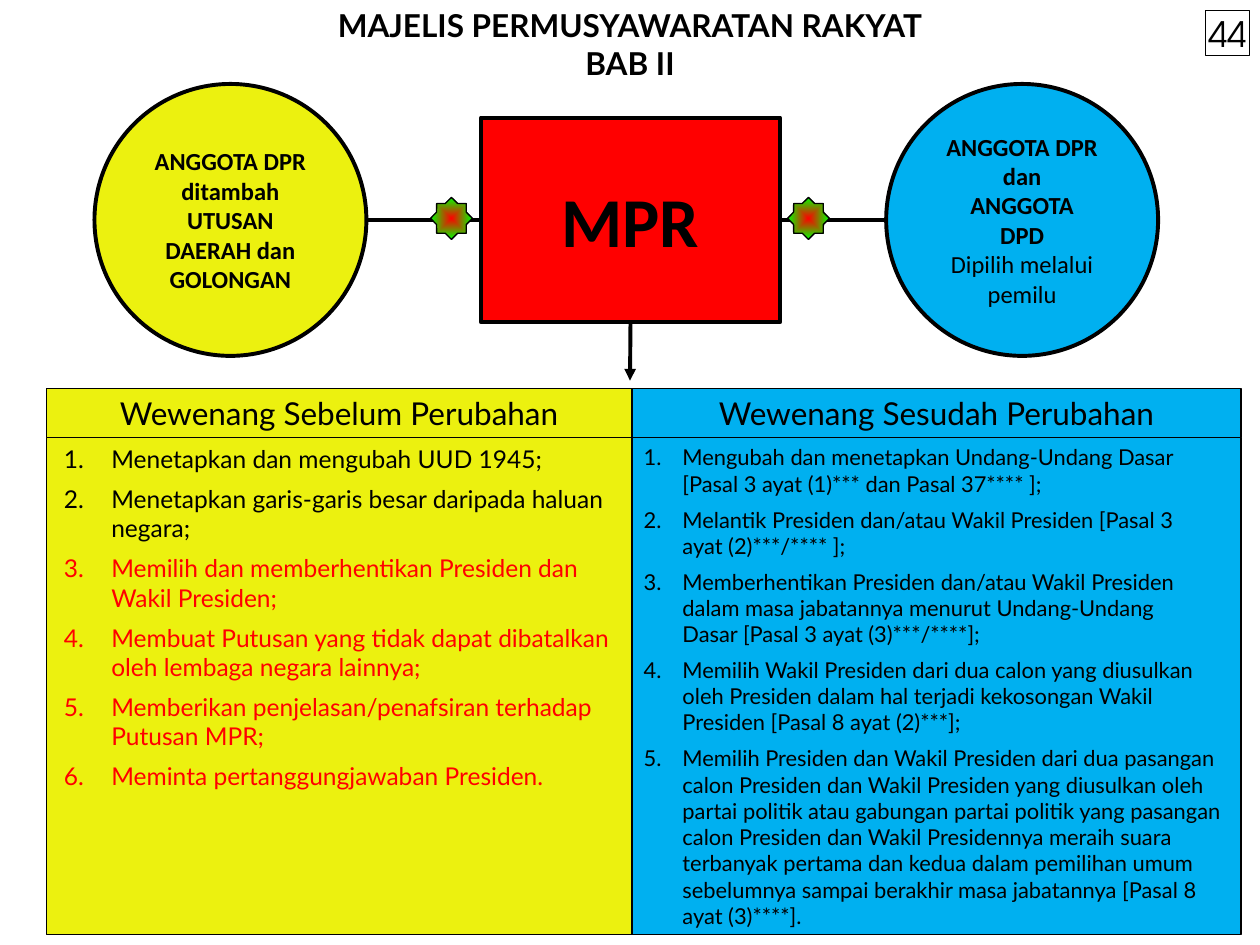
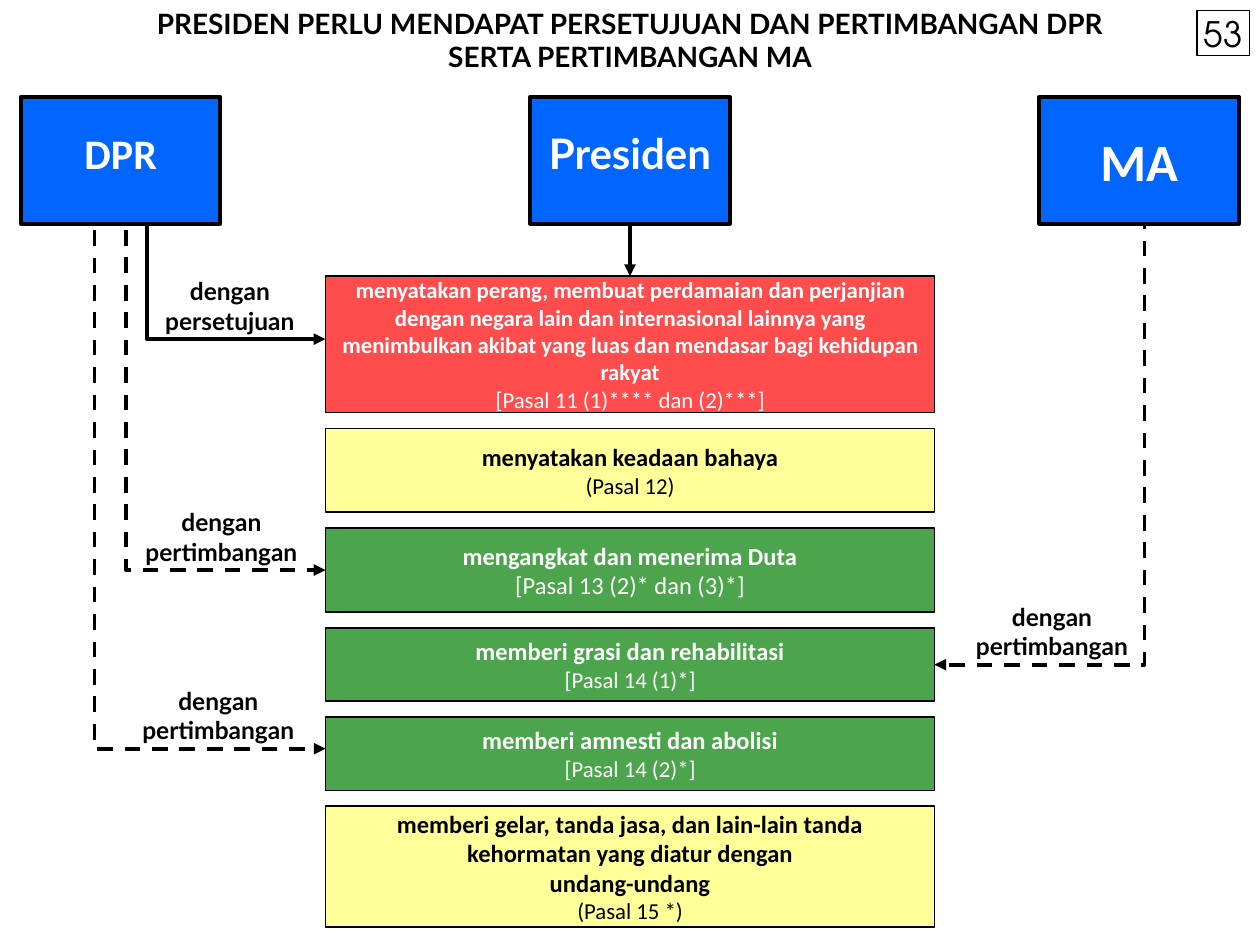
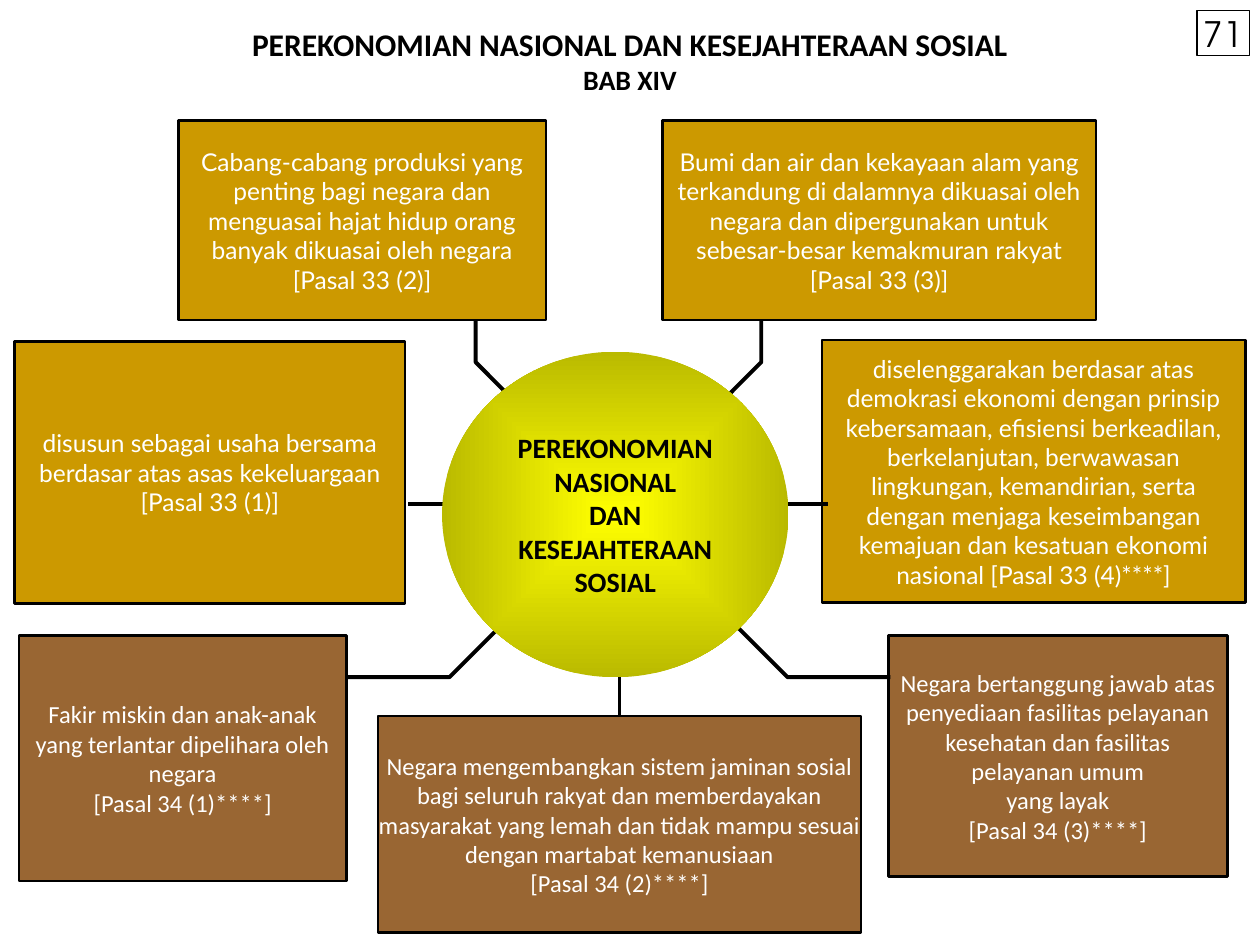
"""Build three slides on the powers of the state organs, laid out on a 120 by 90 grid."""
from lxml import etree
from pptx import Presentation
from pptx.dml.color import RGBColor
from pptx.enum.dml import MSO_LINE
from pptx.enum.shapes import MSO_CONNECTOR, MSO_SHAPE
from pptx.enum.text import MSO_ANCHOR, PP_ALIGN
from pptx.oxml.ns import qn
from pptx.util import Inches, Pt

RECT, OVAL, STAR = MSO_SHAPE.RECTANGLE, MSO_SHAPE.OVAL, MSO_SHAPE.STAR_8_POINT
STRAIGHT = MSO_CONNECTOR.STRAIGHT
DASH = MSO_LINE.DASH
TOP, MIDDLE = MSO_ANCHOR.TOP, MSO_ANCHOR.MIDDLE
LEFT, CENTER = PP_ALIGN.LEFT, PP_ALIGN.CENTER

COLORS = {
    "black": "000000", "white": "FFFFFF", "red": "FF0000", "lime": "00FF00",
    "lemon": "ECF10F", "sky": "00B0F0", "blue": "0066FF", "green": "008000",
    "cream": "FFFF99", "gold": "CC9900", "brown": "996633",
    "yellow": "FFFF00", "olive": "BABA00",
}
COLS, ROWS = 120, 90
LATO, BODY, DIGIT = "Lato", "Calibri", "TeX Gyre Adventor"
PAD = (1.2, 0.6, 1.2)
FLAT = (0, 0, 0)
HEAVY = 2.25


def rgb(name):
    return RGBColor.from_string(COLORS[name])


class Deck:
    """Holds the style and the current slide."""

    def __init__(self):
        self.prs = Presentation()
        self.prs.slide_width, self.prs.slide_height = Inches(10), Inches(7.5)
        self.slide = None

    def x(self, cols):
        return int(self.prs.slide_width * cols / COLS)

    def y(self, rows):
        return int(self.prs.slide_height * rows / ROWS)

    def area(self, spot):
        left, top, wide, high = spot
        return self.x(left), self.y(top), self.x(wide), self.y(high)

    def page(self, number, left=114):
        self.slide = self.prs.slides.add_slide(self.prs.slide_layouts[6])
        box = self.box((left, 1, 119 - left, 4.3), None, 0.75)
        self.words(box, [number], DIGIT, 20, pad=FLAT)

    def words(self, shape, items, font=BODY, size=14, ink="black", bold=False,
              pad=PAD, anchor=MIDDLE, align=CENTER, hang=None, gap=0):
        frame = shape.text_frame
        frame.word_wrap = True
        frame.vertical_anchor = anchor
        frame.margin_left, frame.margin_right = self.x(pad[0]), self.x(pad[2])
        frame.margin_top = frame.margin_bottom = self.y(pad[1])
        for i, item in enumerate(items):
            text, own = item if isinstance(item, tuple) else (item, {})
            look = {"size": size, "ink": ink, "bold": bold, **own}
            para = frame.add_paragraph() if i else frame.paragraphs[0]
            para.text = text
            para.alignment = align
            if hang:
                props = para._p.get_or_add_pPr()
                props.set("marL", str(self.x(hang[0])))
                props.set("indent", str(-self.x(hang[1])))
                etree.SubElement(props, qn("a:buAutoNum"), type="arabicPeriod")
            if i and gap:
                para.space_before = Pt(gap)
            para.font.name = font
            para.font.size = Pt(look["size"])
            para.font.bold = look["bold"]
            para.font.color.rgb = rgb(look["ink"])

    def box(self, spot, fill, line=HEAVY, kind=RECT, alpha=None):
        shape = self.slide.shapes.add_shape(kind, *self.area(spot))
        shape.shadow.inherit = False
        if isinstance(fill, tuple):
            self.glow(shape, fill)
        elif fill:
            shape.fill.solid()
            shape.fill.fore_color.rgb = rgb(fill)
        else:
            shape.fill.background()
        if alpha:
            color = shape._element.spPr.find(qn("a:solidFill"))[0]
            etree.SubElement(color, qn("a:alpha"), val=str(alpha * 1000))
        if line:
            self.ink(shape, line)
        else:
            shape.line.fill.background()
        return shape

    def glow(self, shape, names):
        shape.fill.gradient()
        for stop, name in zip(shape.fill.gradient_stops, names):
            stop.color.rgb = rgb(name)
        grad = shape._element.spPr.find(qn("a:gradFill"))
        old = grad.find(qn("a:lin"))
        shade = etree.Element(qn("a:path"), {"path": "shape"})
        etree.SubElement(shade, qn("a:fillToRect"),
                         dict.fromkeys("ltrb", "50000"))
        grad.replace(old, shade)

    def ink(self, shape, width=HEAVY, dash=None, arrow=False):
        line = shape.line
        line.color.rgb = rgb("black")
        line.width = Pt(width)
        if dash:
            line.dash_style = dash
        if arrow:
            ln = shape._element.spPr.find(qn("a:ln"))
            etree.SubElement(ln, qn("a:tailEnd"), type="triangle")

    def label(self, spot, items, **look):
        shape = self.slide.shapes.add_textbox(*self.area(spot))
        self.words(shape, items, bold=True, anchor=TOP, **look)

    def link(self, start, end, arrow=False, source=None, target=None):
        line = self.slide.shapes.add_connector(
            STRAIGHT, self.x(start[0]), self.y(start[1]),
            self.x(end[0]), self.y(end[1]))
        if source:
            line.begin_connect(*source)
        if target:
            line.end_connect(*target)
        self.ink(line, arrow=arrow)
        etree.SubElement(line._element.spPr, qn("a:effectLst"))

    def route(self, points, dash=None, arrow=False):
        first, *rest = [(self.x(a), self.y(b)) for a, b in points]
        pen = self.slide.shapes.build_freeform(*first)
        pen.add_line_segments(rest, close=False)
        shape = pen.convert_to_shape()
        shape.shadow.inherit = False
        shape.fill.background()
        self.ink(shape, dash=dash, arrow=arrow)


def council(deck):
    deck.page("44", 114.8)
    mid = 20.95
    mpr = deck.box((45.8, 11.2, 28.5, 19.5), "red")
    deck.words(mpr, ["MPR"], size=40, bold=True, pad=(0, 0.6, 0))
    deck.link((60, 31), (60, 36.25), True, source=(mpr, 2))
    for edge, side, star in ((34.9, 1, 41), (84.4, 3, 75)):
        deck.link((edge, mid), (60, mid), target=(mpr, side))
        spark = deck.box((star, 18.8, 4, 4), ("red", "lime"), 0.75, STAR)
        spark.adjustments[0] = 0.383

    before = [
        "Menetapkan dan mengubah UUD 1945;",
        "Menetapkan garis-garis besar daripada haluan negara;",
        *((text, {"ink": "red"}) for text in (
            "Memilih dan memberhentikan Presiden dan Wakil Presiden;",
            "Membuat Putusan yang tidak dapat dibatalkan oleh lembaga negara lainnya;",
            "Memberikan penjelasan/penafsiran terhadap Putusan MPR;",
            "Meminta pertanggungjawaban Presiden.")),
    ]
    after = [
        "Mengubah dan menetapkan Undang-Undang Dasar\v"
        "[Pasal 3 ayat (1)*** dan Pasal 37**** ];",
        "Melantik Presiden dan/atau Wakil Presiden [Pasal 3\v"
        "ayat (2)***/**** ];",
        "Memberhentikan Presiden dan/atau Wakil Presiden\v"
        "dalam masa jabatannya menurut Undang-Undang\v"
        "Dasar [Pasal 3 ayat (3)***/****];",
        "Memilih Wakil Presiden dari dua calon yang diusulkan\v"
        "oleh Presiden dalam hal terjadi kekosongan Wakil\v"
        "Presiden [Pasal 8 ayat (2)***];",
        "Memilih Presiden dan Wakil Presiden dari dua pasangan calon Presiden "
        "dan Wakil Presiden yang diusulkan oleh partai politik atau gabungan "
        "partai politik yang pasangan calon Presiden dan Wakil Presidennya "
        "meraih suara terbanyak pertama dan kedua dalam pemilihan umum "
        "sebelumnya sampai berakhir masa jabatannya [Pasal 8 ayat (3)****].",
    ]
    panels = (
        (4.4, 55.8, "lemon", "Wewenang Sebelum Perubahan", before, 14,
         (0.6, 0.6, 0.6), (5.6, 4.5), 6),
        (60.2, 58, "sky", "Wewenang Sesudah Perubahan", after, 12.5,
         (0, 0.6, 1.2), (4.8, 3.7), 5.5),
    )
    for left, wide, fill, head, items, size, pad, hang, gap in panels:
        body = deck.box((left, 41.7, wide, 47.3), fill, 0.75)
        deck.words(body, items, LATO, size, pad=pad, anchor=TOP, align=LEFT,
                   hang=hang, gap=gap)
        top = deck.box((left, 37, wide, 4.7), fill, 0.75)
        deck.words(top, [head], LATO, 18)

    deck.label((1, 0, 118, 9.7), ["MAJELIS PERMUSYAWARATAN RAKYAT", "BAB II"],
               font=LATO, size=18)
    members = (
        (9, "lemon", ["ANGGOTA DPR ditambah UTUSAN DAERAH dan GOLONGAN"]),
        (84.4, "sky", ["ANGGOTA DPR", "dan", "ANGGOTA", "DPD",
                       ("Dipilih melalui pemilu", {"bold": False})]),
    )
    for left, fill, items in members:
        disc = deck.box((left, 8, 25.9, 25.9), fill, kind=OVAL)
        deck.words(disc, items, bold=True)


def consent(deck):
    deck.page("53")
    deck.label((1, 0, 118, 5),
               ["PRESIDEN PERLU MENDAPAT PERSETUJUAN DAN PERTIMBANGAN DPR",
                "SERTA PERTIMBANGAN MA"], font=LATO, size=16)
    left, wide, gap = 31, 58, 1.5
    right = left + wide
    routes = (
        (14, 19.3, 32.3, left, None, 13.6, "persetujuan"),
        (12, 19.3, 54.3, left, DASH, 12.8, "pertimbangan"),
        (9, 19.3, 71.3, left, DASH, 12.5, "pertimbangan"),
        (109, 20.3, 63.3, right, DASH, 91.9, "pertimbangan"),
    )
    for col, top, row, end, dash, spot, word in routes:
        deck.route([(col, top), (col, row), (end, row)], dash, True)
        deck.label((spot, row - 6, 16.6, 5.6), ["dengan", word],
                   font=LATO, pad=FLAT)

    acts = (
        (13, "red", 13, 13,
         ["menyatakan perang, membuat perdamaian dan perjanjian dengan negara "
          "lain dan internasional lainnya yang menimbulkan akibat yang luas "
          "dan mendasar bagi kehidupan rakyat"], "[Pasal 11 (1)**** dan (2)***]"),
        (8, "cream", 14, 13, ["menyatakan keadaan bahaya"], "(Pasal 12)"),
        (8, "green", 14, 14, ["mengangkat dan menerima Duta"],
         "[Pasal 13 (2)* dan (3)*]"),
        (7, "green", 14, 13, ["memberi grasi dan rehabilitasi"], "[Pasal 14 (1)*]"),
        (7, "green", 14, 13, ["memberi amnesti dan abolisi"], "[Pasal 14 (2)*]"),
        (11.5, "cream", 14, 13,
         ["memberi gelar, tanda jasa, dan lain-lain tanda kehormatan yang "
          "diatur dengan", "undang-undang"], "(Pasal 15 *)"),
    )
    top, cards = 26.3, []
    for high, fill, size, small, items, note in acts:
        pale = fill == "cream"
        card = deck.box((left, top, wide, high), fill, 1,
                        alpha=None if pale else 70)
        deck.words(card, items + [(note, {"size": small, "bold": False})],
                   size=size, ink="black" if pale else "white", bold=True)
        cards.append(card)
        top += high + gap

    organs = (
        (2, "DPR", BODY, 24, TOP), (50.5, "Presiden", LATO, 24, TOP),
        (99, "MA", BODY, 30, MIDDLE),
    )
    heads = {}
    for col, name, font, size, anchor in organs:
        heads[name] = deck.box((col, 9.2, 19, 12.1), "blue")
        pad = (1.2, 2.9, 1.2) if anchor == TOP else PAD
        deck.words(heads[name], [name], font, size, "white", True, pad, anchor)
    deck.link((60, 21.3), (60, 26.3), True, (heads["Presiden"], 2), (cards[0], 0))


def welfare(deck):
    deck.page("71")
    deck.label((1.4, 1.9, 117.2, 11.6),
               ["PEREKONOMIAN NASIONAL DAN KESEJAHTERAAN SOSIAL",
                ("BAB XIV", {"size": 16})], size=18, pad=(0.5, 0.5, 0.5))
    slim = (0.4, 0.6, 0.4)
    notes = (
        ((1.4, 32.5, 37.2, 25), "gold", PAD,
         ["disusun sebagai usaha bersama berdasar atas asas kekeluargaan",
          "[Pasal 33 (1)]"]),
        ((17, 11.5, 35, 19), "gold", PAD,
         ["Cabang-cabang produksi yang penting bagi negara dan menguasai hajat "
          "hidup orang banyak dikuasai oleh negara [Pasal 33 (2)]"]),
        ((63.1, 11.5, 41.3, 19), "gold", PAD,
         ["Bumi dan air dan kekayaan alam yang terkandung di dalamnya dikuasai "
          "oleh negara dan dipergunakan untuk sebesar-besar kemakmuran rakyat",
          "[Pasal 33 (3)]"]),
        ((78.3, 32.4, 40.3, 25), "gold", PAD,
         ["diselenggarakan berdasar atas demokrasi ekonomi dengan prinsip "
          "kebersamaan, efisiensi berkeadilan, berkelanjutan, berwawasan "
          "lingkungan, kemandirian, serta dengan menjaga keseimbangan kemajuan "
          "dan kesatuan ekonomi nasional [Pasal 33 (4)****]"]),
        ((1.8, 60.5, 31.2, 23.4), "brown", PAD,
         ["Fakir miskin dan anak-anak yang terlantar dipelihara oleh negara",
          "[Pasal 34 (1)****]"]),
        ((84.6, 60.5, 32.3, 23), "brown", slim,
         ["Negara bertanggung jawab atas penyediaan fasilitas pelayanan "
          "kesehatan dan fasilitas pelayanan umum", "yang layak",
          "[Pasal 34 (3)****]"]),
        ((36, 68.2, 46, 20.6), "brown", (0, 0.6, 0),
         ["Negara mengembangkan sistem jaminan sosial bagi seluruh rakyat dan "
          "memberdayakan masyarakat yang lemah dan tidak mampu sesuai dengan "
          "martabat kemanusiaan", "[Pasal 34 (2)****]"]),
    )
    for spot, fill, pad, items in notes:
        card = deck.box(spot, fill, 1.5)
        deck.words(card, items, LATO if fill == "gold" else BODY,
                   ink="white", pad=pad)
    deck.link((59, 64.5), (59, 68.2), target=(card, 0))

    span = 117.8
    bends = (
        [(45.3, 30.5), (45.3, 34.5), (48.3, 37.5)],
        [(33, 64.5), (42.8, 64.5), (47.8, 59.5)],
    )
    for bend in bends:
        deck.route(bend)
        deck.route([(span - col, row) for col, row in bend])
    for near, far in ((38.9, 42.8), (span - 42.8, span - 38.9)):
        deck.link((near, 48), (far, 48))

    core = deck.box((42.1, 33.5, 33, 31), ("yellow", "olive"), None, OVAL)
    deck.words(core, ["PEREKONOMIAN NASIONAL", "DAN KESEJAHTERAAN SOSIAL"],
               size=16, bold=True, pad=FLAT)


def main():
    deck = Deck()
    for build in (council, consent, welfare):
        build(deck)
    deck.prs.save("out.pptx")


if __name__ == "__main__":
    main()
